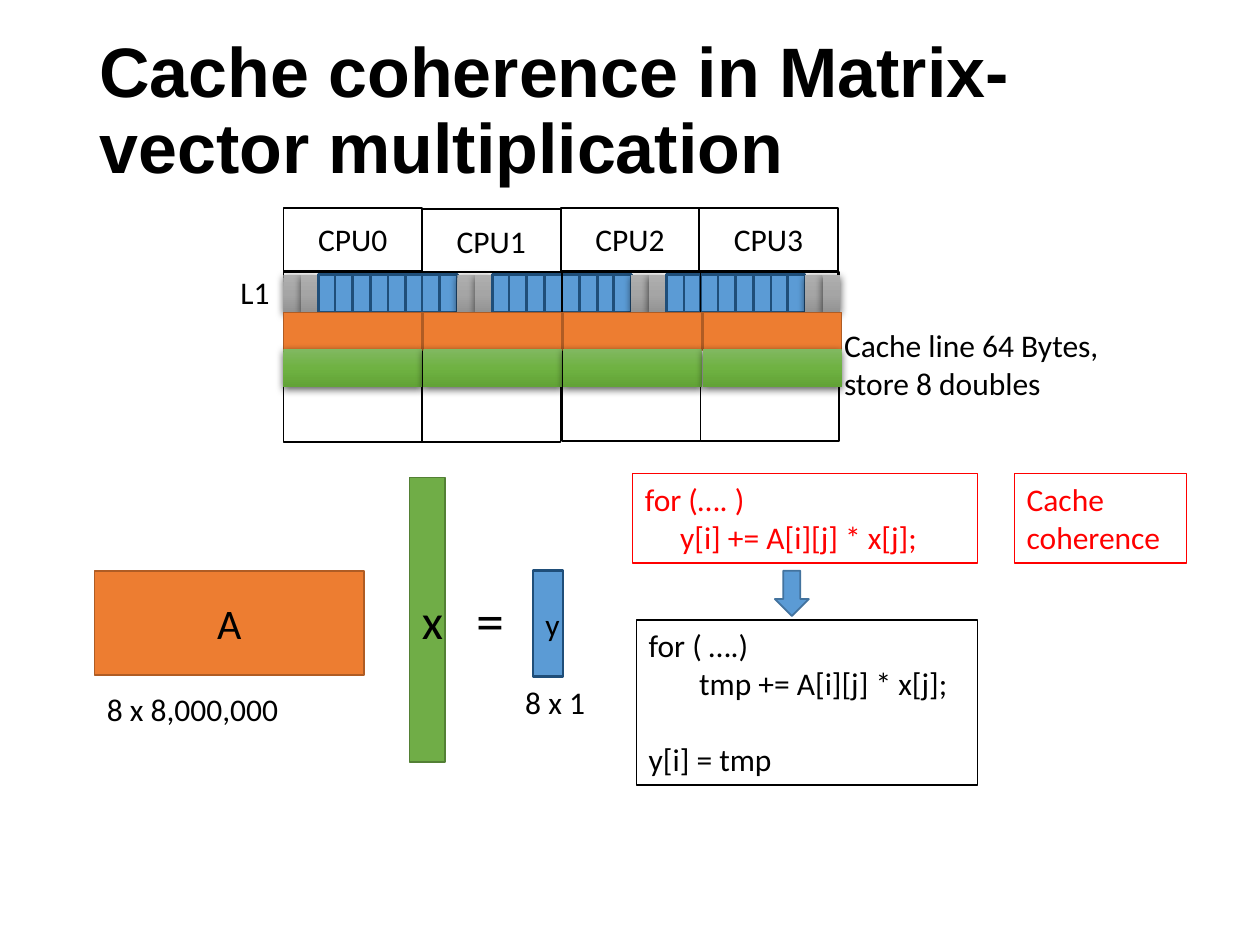
from copy import deepcopy

from pptx import Presentation
from pptx.dml.color import RGBColor
from pptx.enum.shapes import MSO_SHAPE
from pptx.enum.text import MSO_ANCHOR, PP_ALIGN
from pptx.oxml import parse_xml
from pptx.oxml.ns import nsdecls, qn
from pptx.util import Pt

RECT, ARROW = MSO_SHAPE.RECTANGLE, MSO_SHAPE.DOWN_ARROW
LEFT, CENTER = PP_ALIGN.LEFT, PP_ALIGN.CENTER
TOP, MIDDLE = MSO_ANCHOR.TOP, MSO_ANCHOR.MIDDLE
PX = 9144  # 100 px to the inch

BLACK, RED = "000000", "FF0000"
BLUE, NAVY = "5B9BD5", "1F4E79"
ORANGE, RUST = "ED7D31", "AF5C24"
GRAYS = ["AFAFAF", "A5A5A5", "939393"]
GREENS = ["81B861", "6FB242", "62A336"]
SHADOW = (f'<a:outerShdw {nsdecls("a")} blurRad="57150" dist="19050" dir="5400000" '
          'algn="ctr" rotWithShape="0"><a:srgbClr val="000000">'
          '<a:alpha val="63000"/></a:srgbClr></a:outerShdw>')

prs = Presentation()
prs.slide_width, prs.slide_height = 1000 * PX, 750 * PX
slide = prs.slides.add_slide(prs.slide_layouts[6])


def box(x, y, w, h, fill=None, line=None, width=1, kind=RECT):
    """Add a shape; a list of three fill colours means a shaded, shadowed box."""
    shape = slide.shapes.add_shape(kind, x * PX, y * PX, w * PX, h * PX)
    shape.shadow.inherit = False
    if line:
        shape.line.color.rgb = RGBColor.from_string(line)
        shape.line.width = Pt(width)
    else:
        shape.line.fill.background()
    if isinstance(fill, list):
        shape.fill.gradient()
        shape.fill.gradient_angle = 270
        props = shape._element.spPr
        stops = props.find(".//" + qn("a:gsLst"))
        stops.insert(1, deepcopy(stops[0]))
        for i, stop in enumerate(shape.fill.gradient_stops):
            stop.position = i / 2
            stop.color.rgb = RGBColor.from_string(fill[i])
        props.find(qn("a:effectLst")).append(parse_xml(SHADOW))
    elif fill:
        shape.fill.solid()
        shape.fill.fore_color.rgb = RGBColor.from_string(fill)
    else:
        shape.fill.background()
    return shape


def write(shape, text, size=18, color=BLACK, align=CENTER, anchor=MIDDLE,
          font="Calibri", bold=False, wrap=True):
    frame = shape.text_frame
    frame.text = text
    frame.word_wrap = wrap
    frame.vertical_anchor = anchor
    for par in frame.paragraphs:
        par.alignment = align
        for run in par.runs:
            run.font.name, run.font.size, run.font.bold = font, Pt(size), bold
            run.font.color.rgb = RGBColor.from_string(color)
    return frame


# Title
title = slide.shapes.add_textbox(69 * PX, 17 * PX, 862 * PX, 145 * PX)
frame = write(title, "Cache coherence in Matrix-vector multiplication", 40,
              align=LEFT, font="Arial", bold=True)
frame.paragraphs[0].line_spacing = 0.9

# CPUs, with the L1 cache of each below
for i in range(4):
    write(box(225 + 110 * i, 166 if i == 1 else 165, 110, 50, line=BLACK), f"CPU{i}")
for x in (225, 335):
    box(x, 216, 110, 135, line=BLACK)
for x in (445, 555):
    box(x, 216, 110, 33, line=BLACK)

# Cache line of y: two gray cells, then eight blue ones, and so on
for i in range(32):
    x = 225 + round(i * 428 / 31)
    if i % 10 < 2:
        box(x, 218, 14, 30, GRAYS)
    else:
        box(x, 218, 14, 30, BLUE, NAVY, 1.5)
    if i in (16, 24):
        box(446 if i == 16 else 556, 216, 110, 134, line=BLACK)

# Matrix A times vector x gives y
write(box(75, 453, 214, 83, ORANGE, RUST), "A", 24)
write(box(325, 379, 28, 226, "70AD47", "538035"), "x", 28)
write(box(423, 453, 24, 84, BLUE, NAVY, 1.5), "y")

for text, x, y, w, h, size in [
    ("L1", 181, 212, 44, 40, 18),
    ("=", 368, 460, 43, 64, 32),
    ("Cache line 64 Bytes,\nstore 8 doubles", 660, 254, 231, 71, 18),
    ("8 x 8,000,000", 75, 543, 158, 40, 18),
    ("8 x 1", 407, 537, 68, 40, 18),
]:
    label = slide.shapes.add_textbox(x * PX, y * PX, w * PX, h * PX)
    write(label, text, size, align=LEFT, anchor=TOP, wrap=False)

# Code before and after
for text, x, y, w, h, color, indent in [
    ("for (…. )\ny[i] += A[i][j] * x[j];", 502, 376, 274, 71, RED, 28),
    ("for ( ….)\ntmp += A[i][j] * x[j];\ny[i] = tmp", 505, 492, 271, 131, BLACK, 40),
    ("Cache coherence", 805, 376, 137, 71, RED, 0),
]:
    frame = write(box(x, y, w, h, line=color, width=0.75), text, color=color,
                  align=LEFT, anchor=TOP)
    pars = frame.paragraphs
    if indent:
        pars[1]._p.get_or_add_pPr().set("marL", str(indent * PX))
    if len(pars) > 2:
        pars[2].space_before = Pt(22)
box(615, 453, 27, 36, BLUE, "43739E", kind=ARROW)

# Cache lines of A and x
for i in range(4):
    box(225 + 111 * i, 248, 110, 30, ORANGE, RUST)
for i in range(4):
    box(225 + 111 * i, 277, 110, 30, GREENS)

prs.save("out.pptx")
